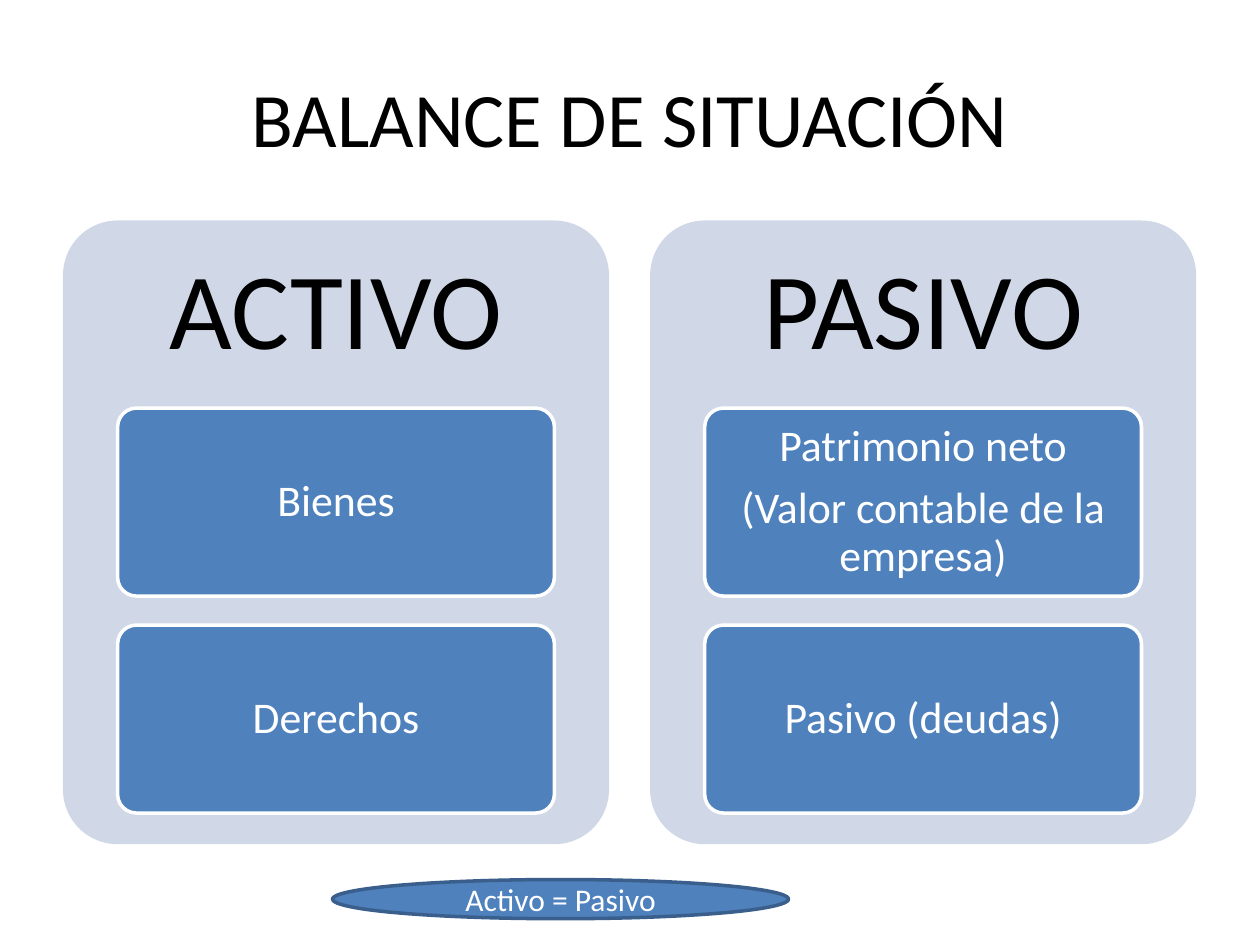
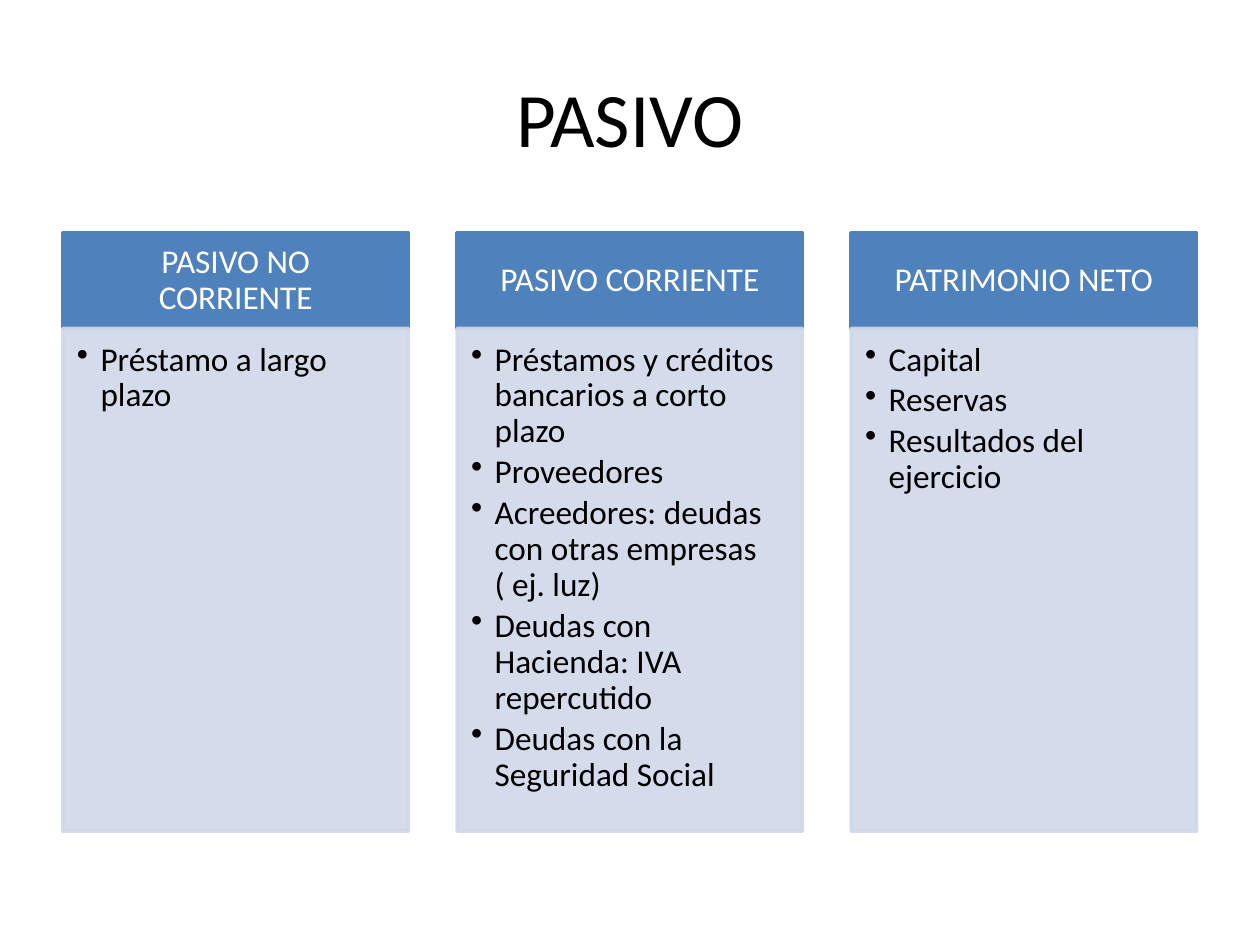
import pptx
import pptx.util
import pptx.dml.color
import pptx.enum.shapes
import pptx.enum.text
import pptx.oxml.ns
import lxml.etree
from dataclasses import dataclass

Pt = pptx.util.Pt
Shape = pptx.enum.shapes.MSO_SHAPE
Anchor = pptx.enum.text.MSO_ANCHOR
Align = pptx.enum.text.PP_ALIGN


@dataclass(frozen=True)
class Theme:
    font: str = "Calibri"
    black: str = "000000"
    white: str = "FFFFFF"
    blue: str = "4F81BD"
    dark_blue: str = "3A5F8C"
    pale_blue: str = "D0D8E8"
    title_size: int = 44
    heading_size: int = 62
    box_size: int = 25
    column_size: int = 19
    note_size: int = 18
    line_width: int = 2
    line_spacing: float = 0.9


theme = Theme()


def add_block(page, kind, frame, fill, line=None, opacity=100):
    block = page.shapes.add_shape(kind, *[Pt(length) for length in frame])
    block.shadow.inherit = False
    block.fill.solid()
    block.fill.fore_color.rgb = pptx.dml.color.RGBColor.from_string(fill)
    if line:
        block.line.color.rgb = pptx.dml.color.RGBColor.from_string(line)
        block.line.width = Pt(theme.line_width)
    else:
        block.line.fill.background()
    if kind == Shape.ROUNDED_RECTANGLE:
        block.adjustments[0] = 0.1
    if opacity < 100:
        for color in block._element.spPr.iter(pptx.oxml.ns.qn("a:srgbClr")):
            alpha = lxml.etree.SubElement(color, pptx.oxml.ns.qn("a:alpha"))
            alpha.set("val", str(opacity * 1000))
    return block


def write_text(box, lines, size, color, margins=(7.2, 3.6, 7.2, 3.6),
               spacing=theme.line_spacing, after=0.35, bullets=False):
    frame = box.text_frame
    frame.word_wrap = True
    frame.vertical_anchor = Anchor.TOP if bullets else Anchor.MIDDLE
    frame.margin_left, frame.margin_top, frame.margin_right, frame.margin_bottom = map(Pt, margins)
    frame.text = "\n".join(lines)
    for para in frame.paragraphs:
        para.alignment = Align.LEFT if bullets else Align.CENTER
        para.line_spacing = spacing
        para.space_after = Pt(round(size * after, 2))
        if bullets:
            properties = para._p.get_or_add_pPr()
            properties.set("marL", str(Pt(13.5)))
            properties.set("indent", str(-Pt(13.5)))
            bullet = lxml.etree.SubElement(properties, pptx.oxml.ns.qn("a:buChar"))
            bullet.set("char", "•")
        para.font.name = theme.font
        para.font.size = Pt(size)
        para.font.color.rgb = pptx.dml.color.RGBColor.from_string(color)


deck = pptx.Presentation()
deck.slide_width = Pt(720)
deck.slide_height = Pt(540)

pages = []
for title in ("BALANCE DE SITUACIÓN", "PASIVO"):
    page = deck.slides.add_slide(deck.slide_layouts[6])
    title_box = page.shapes.add_textbox(Pt(36), Pt(21.6), Pt(648), Pt(90))
    write_text(title_box, [title], theme.title_size, theme.black, spacing=1.0, after=0)
    pages.append(page)
balance_page, liabilities_page = pages

sides = [
    ("ACTIVO", [["Bienes"], ["Derechos"]]),
    ("PASIVO", [["Patrimonio neto", "(Valor contable de la empresa)"], ["Pasivo (deudas)"]]),
]
panel_width, panel_pitch, panel_top = 312, 335.5, 126
box_top, box_pitch = 233.2, 124
for column, (heading, boxes) in enumerate(sides):
    left = 36 + column * panel_pitch
    add_block(balance_page, Shape.ROUNDED_RECTANGLE,
              (left, panel_top, panel_width, 356.4), theme.pale_blue)
    heading_box = balance_page.shapes.add_textbox(
        Pt(left), Pt(panel_top), Pt(panel_width), Pt(106.8))
    write_text(heading_box, [heading], theme.heading_size, theme.black, (18.6,) * 4)
    for row, lines in enumerate(boxes):
        box = add_block(
            balance_page, Shape.ROUNDED_RECTANGLE,
            (left + panel_width * 0.1, box_top + row * box_pitch, panel_width * 0.8, 107.4),
            theme.blue, theme.white)
        write_text(box, lines, theme.box_size, theme.white, (5, 3.8, 5, 3.8))

equation = add_block(balance_page, Shape.OVAL, (190, 502.6, 260.6, 22.4),
                     theme.blue, theme.dark_blue)
write_text(equation, ["Activo = Pasivo"], theme.note_size, theme.white, spacing=1.0, after=0)

columns = [
    ("PASIVO NO CORRIENTE", ["Préstamo a largo plazo"]),
    ("PASIVO CORRIENTE", [
        "Préstamos y créditos bancarios a corto plazo",
        "Proveedores",
        "Acreedores: deudas con otras empresas ( ej. luz)",
        "Deudas con Hacienda: IVA repercutido",
        "Deudas con la Seguridad Social",
    ]),
    ("PATRIMONIO NETO", ["Capital", "Reservas", "Resultados del ejercicio"]),
]
column_width, column_pitch = 197.4, 225.2
header_top, header_height = 133.2, 54.4
for index, (heading, items) in enumerate(columns):
    left = 36 + index * column_pitch
    header = add_block(liabilities_page, Shape.RECTANGLE,
                       (left, header_top, column_width, header_height), theme.blue, theme.blue)
    write_text(header, [heading], theme.column_size, theme.white, (10.8, 5.8, 10.8, 5.8))
    body = add_block(liabilities_page, Shape.RECTANGLE,
                     (left, header_top + header_height, column_width, 287.4),
                     theme.pale_blue, theme.pale_blue, opacity=90)
    write_text(body, items, theme.column_size, theme.black, (8, 8, 10.8, 12),
               after=0.15, bullets=True)

deck.save("out.pptx")
